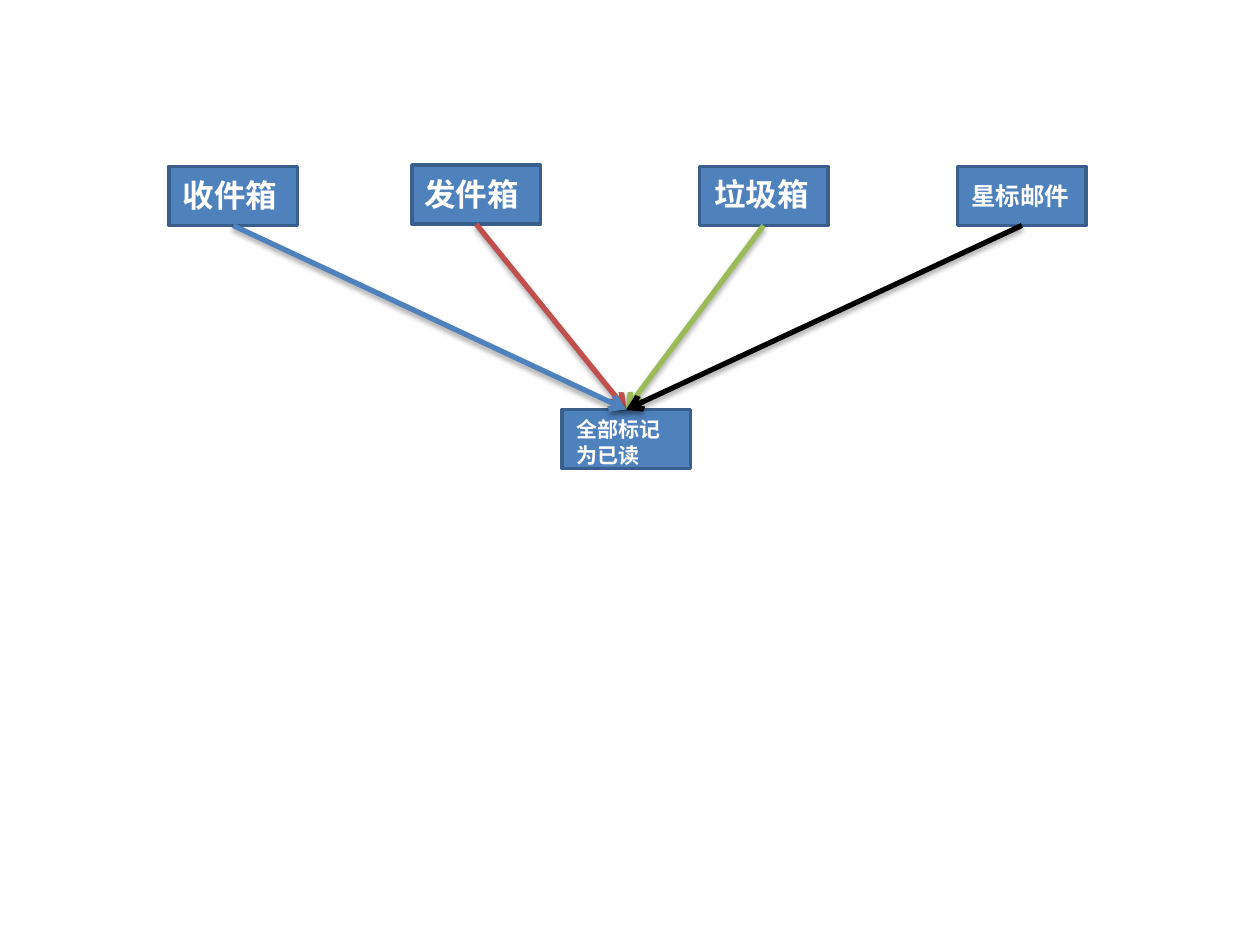
from lxml.etree import SubElement
from pptx import Presentation
from pptx.dml.color import RGBColor
from pptx.enum.shapes import MSO_CONNECTOR as CONN, MSO_SHAPE as SHAPE
from pptx.enum.text import MSO_AUTO_SIZE as AUTO
from pptx.oxml import parse_xml
from pptx.oxml.ns import nsdecls, qn
from pptx.util import Inches, Pt

BLUE = RGBColor(0x4F, 0x81, 0xBD)
EDGE = RGBColor(0x3A, 0x5F, 0x8C)
RED = RGBColor(0xC0, 0x50, 0x4D)
GREEN = RGBColor(0x9B, 0xBB, 0x59)
BLACK = RGBColor(0, 0, 0)
WHITE = RGBColor(255, 255, 255)

# Mail folders: label, size, box (left, top), label (left, top, height), arrow colour
FOLDERS = [
    ("收件箱", 18, (1.34, 1.32), (1.35, 1.35, 0.4), BLUE),
    ("发件箱", 18, (3.27, 1.31), (3.27, 1.34, 0.4), RED),
    ("垃圾箱", 18, (5.55, 1.32), (5.57, 1.34, 0.4), GREEN),
    ("星标邮件", 14, (7.6, 1.32), (7.61, 1.39, 0.34), BLACK),
]
ACTION = ("全部标记为已读", 12, (4.46, 3.25), (4.48, 3.26, 0.5))
ARROW_ORDER = [1, 2, 3, 0]  # back to front
BOX_W, BOX_H, LABEL_W = 1.02, 0.47, 0.99

SHADOW = (
    f'<a:effectLst {nsdecls("a")}>'
    '<a:outerShdw blurRad="40000" dist="23000" dir="5400000" rotWithShape="0">'
    '<a:srgbClr val="000000"><a:alpha val="35000"/></a:srgbClr>'
    '</a:outerShdw></a:effectLst>'
)


def add_box(slide, pos):
    x, y = pos
    s = slide.shapes.add_shape(SHAPE.RECTANGLE, Inches(x), Inches(y),
                               Inches(BOX_W), Inches(BOX_H))
    s.shadow.inherit = False
    s.fill.solid()
    s.fill.fore_color.rgb = BLUE
    s.line.color.rgb = EDGE
    s.line.width = Pt(2)
    return s


def add_label(slide, text, size, place):
    x, y, h = place
    tf = slide.shapes.add_textbox(Inches(x), Inches(y),
                                  Inches(LABEL_W), Inches(h)).text_frame
    tf.word_wrap = True
    tf.auto_size = AUTO.SHAPE_TO_FIT_TEXT
    p = tf.paragraphs[0]
    p.text = text
    p.font.name = "Calibri"
    p.font.size = Pt(size)
    p.font.bold = True
    p.font.color.rgb = WHITE


def add_arrow(slide, source, target, color):
    c = slide.shapes.add_connector(CONN.STRAIGHT, 0, 0, 0, 0)
    c.begin_connect(source, 2)
    c.end_connect(target, 0)
    c.line.color.rgb = color
    c.line.width = Pt(3)
    SubElement(c.line._get_or_add_ln(), qn("a:tailEnd"), type="arrow")
    c._element.spPr.append(parse_xml(SHADOW))


def main():
    prs = Presentation()
    prs.slide_width, prs.slide_height = Inches(10), Inches(7.5)
    slide = prs.slides.add_slide(prs.slide_layouts[6])

    # Folder boxes, then their labels
    boxes = [add_box(slide, pos) for _, _, pos, _, _ in FOLDERS]
    for text, size, _, place, _ in FOLDERS:
        add_label(slide, text, size, place)

    # Shared action
    text, size, pos, place = ACTION
    action = add_box(slide, pos)
    add_label(slide, text, size, place)

    # Arrows from every folder to the action
    for i in ARROW_ORDER:
        add_arrow(slide, boxes[i], action, FOLDERS[i][-1])

    prs.save("out.pptx")


if __name__ == "__main__":
    main()
